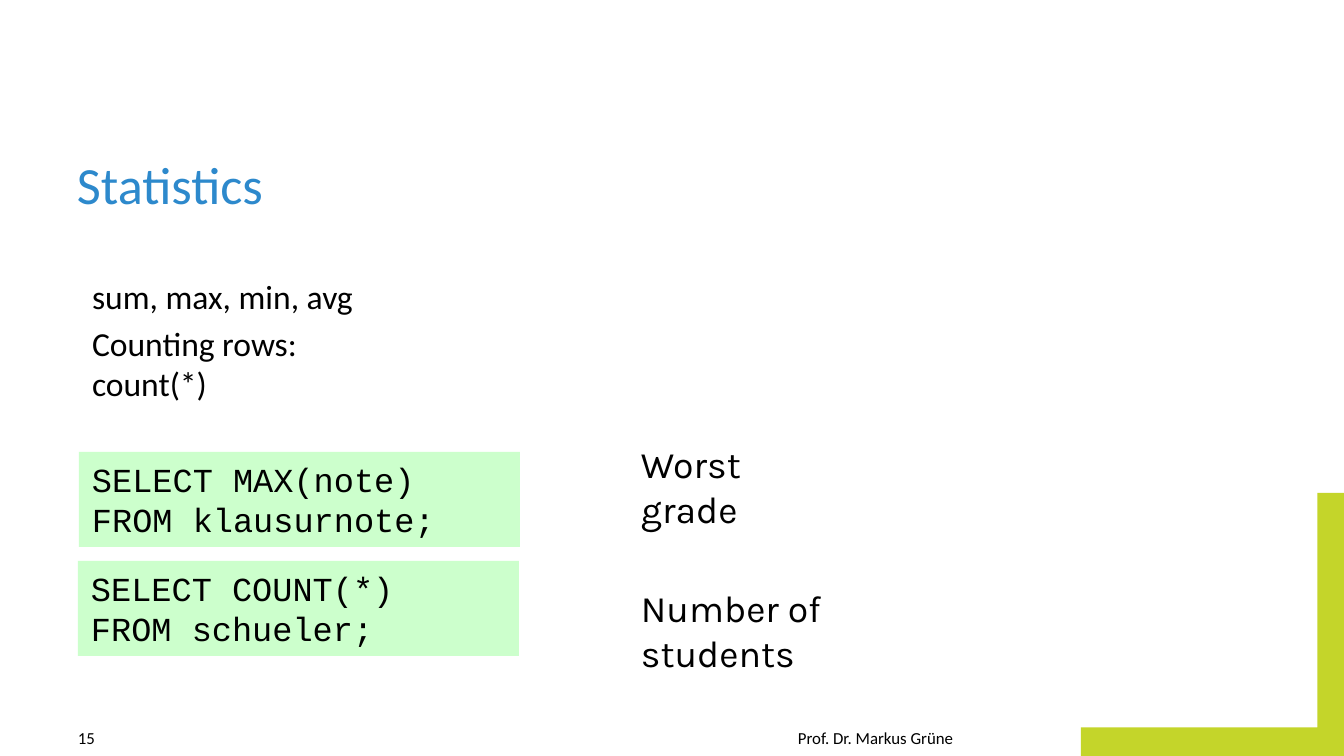
from pptx import Presentation
from pptx.dml.color import RGBColor
from pptx.enum.shapes import MSO_SHAPE as Shape
from pptx.enum.text import MSO_ANCHOR as Anchor, MSO_AUTO_SIZE as AutoSize, PP_ALIGN as Align
from pptx.util import Pt
from lxml.etree import SubElement
from pptx.oxml.ns import qn

PX = 914400 / 134.4
INSETS = (13, 7, 13, 7)


def px(n):
    return round(n * PX)


def color(hex_code):
    return RGBColor.from_string(hex_code)


def place(shape, box):
    shape.left, shape.top, shape.width, shape.height = map(px, box)


def set_text(shape, lines, size, font="Calibri", ink="000000", insets=INSETS,
             anchor=Anchor.TOP, line_spacing=None, gap=0):
    """Fill a shape with one paragraph per line; gap is the space between them in points."""
    tf = shape.text_frame
    tf.word_wrap, tf.auto_size, tf.vertical_anchor = True, AutoSize.NONE, anchor
    tf.margin_left, tf.margin_top, tf.margin_right, tf.margin_bottom = map(px, insets)
    tf.text = "\n".join(lines)
    for i, p in enumerate(tf.paragraphs):
        p.alignment = Align.LEFT
        p.space_before = Pt(gap if i else 0)
        if line_spacing:
            p.line_spacing = Pt(line_spacing)
        for r in p.runs:
            r.font.size, r.font.name = Pt(size), font
            r.font.color.rgb = color(ink)


def remove_bullets(shape):
    for p in shape.text_frame.paragraphs:
        pPr = p._p.get_or_add_pPr()
        pPr.set("marL", "0")
        pPr.set("indent", "0")
        SubElement(pPr, qn("a:buNone"))


def add_filled(s, kind, box, fill):
    sp = s.shapes.add_shape(kind, *map(px, box))
    sp.shadow.inherit = False
    sp.fill.solid()
    sp.fill.fore_color.rgb = color(fill)
    sp.line.fill.background()
    return sp


def add_corner(s):
    sp = add_filled(s, Shape.CORNER, (1081, 493, 265, 265), "C4D52A")
    sp.adjustments[0], sp.adjustments[1] = 0.115, 0.108
    sp._element.spPr.xfrm.set("flipH", "1")


def add_code(s, left, top, lines):
    sp = add_filled(s, Shape.RECTANGLE, (left, top, 441, 95), "CCFFCC")
    set_text(sp, lines, 18, font="Courier New")


def add_label(s, box, text, size, **fmt):
    set_text(s.shapes.add_textbox(*map(px, box)), [text], size, **fmt)


def main():
    prs = Presentation()
    prs.slide_width, prs.slide_height = px(1344), px(756)
    s = prs.slides.add_slide(prs.slide_layouts[1])
    add_corner(s)

    title, body = s.placeholders
    place(title, (77, 124, 1210, 91))
    set_text(title, ["Statistics"], 28, ink="2D89CC", insets=(0, 0, 0, 0),
             anchor=Anchor.BOTTOM, line_spacing=28)
    place(body, (79, 227, 1207, 476))
    set_text(body, ["sum, max, min, avg", "Counting rows:\vcount(*)"], 18,
             insets=(13, 49, 13, 7), gap=3.6)
    remove_bullets(body)

    add_code(s, 79, 452, ["SELECT MAX(note)", "FROM klausurnote;"])
    add_code(s, 78, 561, ["SELECT COUNT(*)", "FROM schueler;"])
    add_label(s, (628, 434, 228, 59), "Worst grade", 20, font="Karla")
    add_label(s, (628, 578, 356, 59), "Number of students", 20, font="Karla")

    footer = dict(insets=(0, 0, 0, 0), anchor=Anchor.BOTTOM)
    add_label(s, (798, 728, 265, 20), "Prof. Dr. Markus Grüne", 9, **footer)
    add_label(s, (78, 728, 32, 20), "15", 9, **footer)
    prs.save("out.pptx")


if __name__ == "__main__":
    main()
